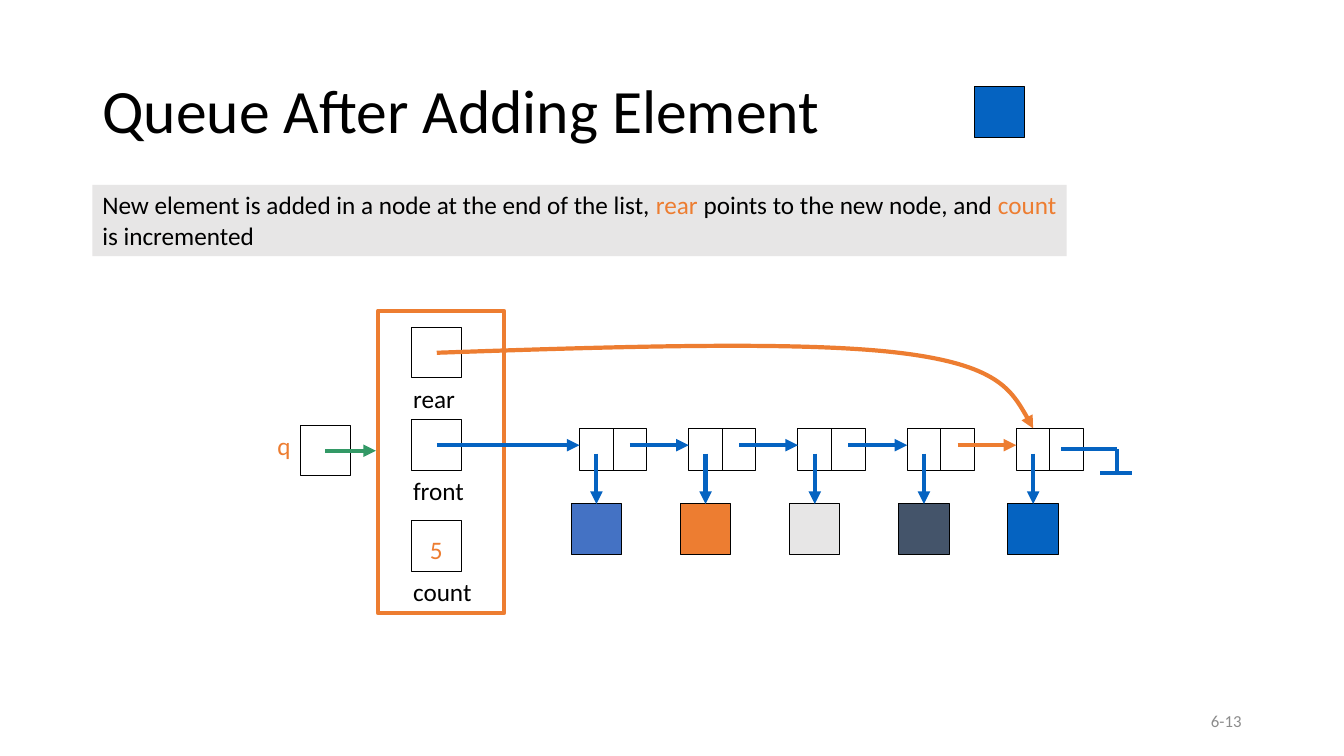
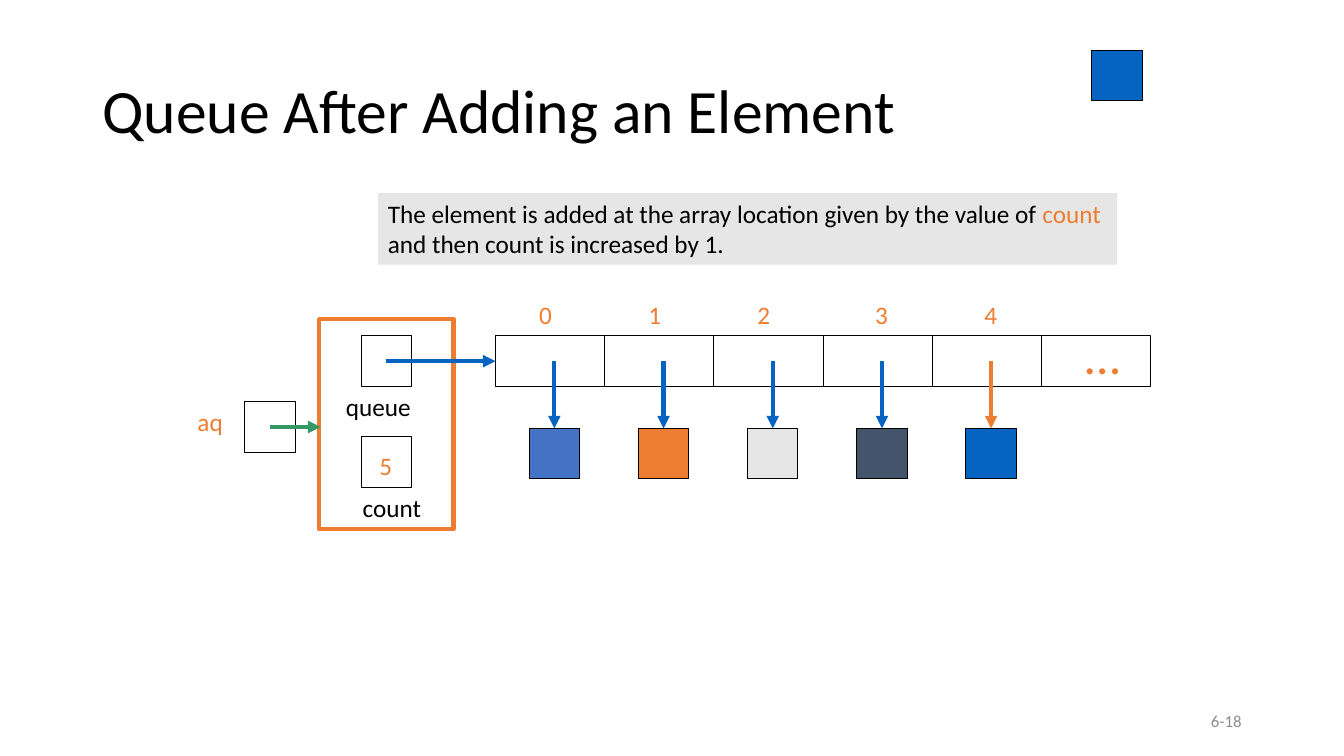
from dataclasses import dataclass

from lxml import etree
from pptx import Presentation
from pptx.dml.color import RGBColor
from pptx.enum.shapes import MSO_CONNECTOR, MSO_SHAPE
from pptx.enum.text import MSO_ANCHOR, MSO_AUTO_SIZE, PP_ALIGN
from pptx.oxml.ns import qn
from pptx.util import Pt

RECT = MSO_SHAPE.RECTANGLE
STRAIGHT = MSO_CONNECTOR.STRAIGHT
LEFT, RIGHT = PP_ALIGN.LEFT, PP_ALIGN.RIGHT
TOP, MIDDLE = MSO_ANCHOR.TOP, MSO_ANCHOR.MIDDLE
SITE_TOP, SITE_LEFT = 0, 1

# Shared look
FONT = "Calibri"
BLACK, GREY, GREEN = "000000", "8C8C8C", "339966"
BLUE, ORANGE, PALE = "0563C1", "ED7D31", "E7E6E6"
ELEMENTS = ["4472C4", ORANGE, PALE, "44546A", BLUE]
BOX = 36      # side of a pointer box or an element
HALF = BOX / 2
PITCH = 78    # distance from one element to the next


@dataclass
class Field:
    """A box inside the queue object, with its label below."""
    label: str
    x: float
    y: float
    indent: float = -6
    value: str = ""


@dataclass
class Variable:
    """The reference outside the queue object."""
    name: str
    name_x: float
    x: float
    y: float


def rgb(color: str) -> RGBColor:
    return RGBColor.from_string(color)


def write(tf, *runs, size=18, color=BLACK, align=LEFT, anchor=TOP, spacing=1.0):
    """Fill a text frame; a run is a string or a (string, colour) pair."""
    tf.word_wrap = True
    tf.auto_size = MSO_AUTO_SIZE.NONE
    tf.vertical_anchor = anchor
    p = tf.paragraphs[0]
    p.alignment, p.line_spacing = align, spacing
    for run in runs:
        text, run_color = (run, color) if isinstance(run, str) else run
        r = p.add_run()
        r.text = text
        r.font.name, r.font.size = FONT, Pt(size)
        r.font.color.rgb = rgb(run_color)


def add_text(s, text: str, x, y, w=66, h=29, **fmt):
    write(s.shapes.add_textbox(Pt(x), Pt(y), Pt(w), Pt(h)).text_frame, text, **fmt)


def add_rect(s, x, y, w=BOX, h=BOX, fill=None, line=BLACK, width=0.75):
    sp = s.shapes.add_shape(RECT, Pt(x), Pt(y), Pt(w), Pt(h))
    sp.shadow.inherit = False
    if fill:
        sp.fill.solid()
        sp.fill.fore_color.rgb = rgb(fill)
    else:
        sp.fill.background()
    if line:
        sp.line.color.rgb = rgb(line)
        sp.line.width = Pt(width)
    else:
        sp.line.fill.background()
    return sp


def style_line(sp, color: str, arrow: bool):
    sp.line.color.rgb = rgb(color)
    sp.line.width = Pt(3)
    if arrow:
        ln = sp.line._get_or_add_ln()
        etree.SubElement(ln, qn("a:tailEnd"), type="triangle")


def add_line(s, x1, y1, x2, y2, color=BLUE, arrow=True, target=None, site=SITE_TOP):
    cn = s.shapes.add_connector(STRAIGHT, Pt(x1), Pt(y1), Pt(x2), Pt(y2))
    if target is not None:
        cn.end_connect(target, site)
    style_line(cn, color, arrow)
    etree.SubElement(cn._element.spPr, qn("a:effectLst"))


def add_curve(s, points, color: str):
    """Cubic curve: a start point, then two controls and an end per segment."""
    pts = [(Pt(x), Pt(y)) for x, y in points]
    builder = s.shapes.build_freeform(*pts[0])
    builder.add_line_segments(pts[1:], close=False)
    sp = builder.convert_to_shape()
    steps = list(sp._element.iter(qn("a:lnTo")))
    for i in range(0, len(steps), 3):
        bezier = etree.Element(qn("a:cubicBezTo"))
        steps[i].addprevious(bezier)
        for step in steps[i:i + 3]:
            bezier.append(step[0])
            step.getparent().remove(step)
    sp.shadow.inherit = False
    sp.fill.background()
    style_line(sp, color, arrow=True)


def new_slide(prs, title: str, number: str):
    s = prs.slides.add_slide(prs.slide_layouts[5])
    t = s.shapes.title
    t.left, t.top, t.width, t.height = Pt(66), Pt(28.8), Pt(828), Pt(104.4)
    write(t.text_frame, title, size=44, anchor=MIDDLE, spacing=0.9)
    add_text(s, number, 678, 500.5, 216, 28.8, size=12, color=GREY,
             align=RIGHT, anchor=MIDDLE)
    return s


def add_note(s, x, y, w, *runs):
    write(add_rect(s, x, y, w, 51, fill=PALE, line=None).text_frame, *runs)


def add_queue_object(s, frame, fields: list[Field], var: Variable):
    """The framed object, its fields and the variable that refers to it."""
    add_rect(s, *frame, line=ORANGE, width=3)
    for f in fields:
        add_rect(s, f.x, f.y)
        add_text(s, f.label, f.x + f.indent, f.y + BOX)
        if f.value:
            add_text(s, f.value, f.x + 6, f.y + 6, 28, color=ORANGE)
    add_text(s, var.name, var.name_x, var.y, 53, color=ORANGE)
    add_rect(s, var.x, var.y)
    mid = var.y + HALF
    add_line(s, var.x + HALF, mid, var.x + HALF + BOX, mid, GREEN)


def add_element(s, x, y, fill: str, start_y, color=BLUE):
    """A coloured element and the arrow down to it."""
    sp = add_rect(s, x, y, fill=fill)
    add_line(s, x + HALF, start_y, x + HALF, y, color, target=sp)


def linked_queue(prs):
    s = new_slide(prs, "Queue After Adding Element", "6-13")
    add_rect(s, 696, 62, fill=BLUE)
    add_note(s, 66, 132, 696,
             "New element is added in a node at the end of the list, ",
             ("rear", ORANGE), " points to the new node, and ",
             ("count", ORANGE), " is incremented")
    add_queue_object(s, (270, 222, 90, 216),
                     [Field("rear", 294, 234), Field("front", 294, 300),
                      Field("count", 294, 372, value="5")],
                     Variable("q", 191, 214.5, 304))

    # Nodes with their elements, then the links between them
    node_x, node_y, cell_w, link_y = 414, 306, 24, 318
    last = len(ELEMENTS) - 1
    for i, fill in enumerate(ELEMENTS):
        x = node_x + i * PITCH
        for cell_x in (x, x + cell_w):
            add_rect(s, cell_x, node_y, cell_w, 30)
        add_element(s, x - 6, 360, fill, 324)
    add_line(s, 312, link_y, node_x, link_y)
    for i in range(last):
        x = node_x + i * PITCH
        add_line(s, x + BOX, link_y, x + PITCH, link_y,
                 ORANGE if i == last - 1 else BLUE)

    # Rear pointer and end of the list
    add_curve(s, [(312, 252), (441.5, 247.5), (571, 243.5), (642, 252),
                  (713, 260.5), (726, 283.5), (738, 306)], ORANGE)
    for ends in [(758, 321, 798, 321), (798, 321, 798, 338),
                 (786, 338, 808.5, 338)]:
        add_line(s, *ends, arrow=False)


def array_queue(prs):
    s = new_slide(prs, "Queue After Adding an Element", "6-18")
    add_rect(s, 780, 36, fill=BLUE)
    add_note(s, 270, 138, 528,
             "The element is added at the array location given by the value of ",
             ("count ", ORANGE), "and then count is increased by 1.")
    add_queue_object(s, (228, 228, 96, 150),
                     [Field("queue", 258, 240, indent=-18),
                      Field("count", 258, 312, value="5")],
                     Variable("aq", 134, 175, 287))

    # Array cells with their indexes and elements
    array_x, array_y = 354, 240
    mid = array_y + HALF
    cells = [add_rect(s, array_x + i * PITCH, array_y, PITCH)
             for i in range(len(ELEMENTS) + 1)]
    add_line(s, 276, mid, array_x, mid, target=cells[0], site=SITE_LEFT)
    index_xs = [378, 456, 534, 618, 696]
    for i, (fill, index_x) in enumerate(zip(ELEMENTS, index_xs)):
        add_text(s, str(i), index_x, 210, 28, color=ORANGE)
        add_element(s, array_x + 24 + i * PITCH, 306, fill, mid,
                    ORANGE if i == len(ELEMENTS) - 1 else BLUE)
    add_text(s, "…", 768, 228, 48, 50, size=36, color=ORANGE)


def main():
    prs = Presentation()
    prs.slide_width, prs.slide_height = Pt(960), Pt(540)
    linked_queue(prs)
    array_queue(prs)
    prs.save("out.pptx")


if __name__ == "__main__":
    main()
